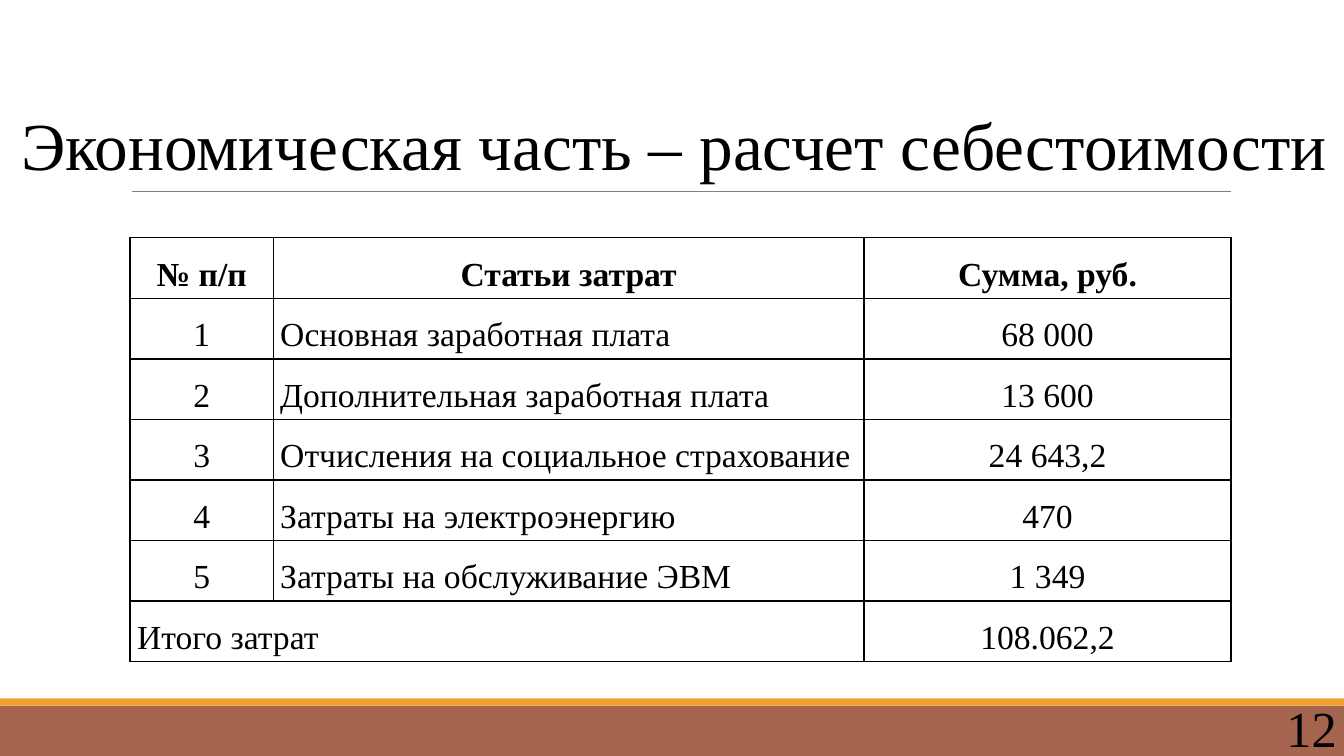
"""Builds a slide with a table of project costs."""
import pptx
import pptx.util
import pptx.dml.color
import pptx.enum.shapes
import pptx.enum.text
import pptx.oxml.ns
import lxml.etree

Inches = pptx.util.Inches
Pt = pptx.util.Pt
qn = pptx.oxml.ns.qn
CENTER = pptx.enum.text.PP_ALIGN.CENTER
LEFT = pptx.enum.text.PP_ALIGN.LEFT


def color(code):
    return pptx.dml.color.RGBColor.from_string(code)


def write(para, text, size, align=LEFT, bold=False):
    para.text = text
    para.alignment = align
    para.font.name = "Times New Roman"
    para.font.size = Pt(size)
    para.font.bold = bold
    para.font.color.rgb = color("000000")


deck = pptx.Presentation()
deck.slide_width = Inches(13.33)
deck.slide_height = Inches(7.5)
slide = deck.slides.add_slide(deck.slide_layouts[6])
shapes = slide.shapes

for top, height, fill in [(7, 0.5, "A5644E"), (6.93, 0.07, "F0A22E")]:
    band = shapes.add_shape(pptx.enum.shapes.MSO_SHAPE.RECTANGLE,
                            0, Inches(top), Inches(13.33), Inches(height))
    band.shadow.inherit = False
    band.fill.solid()
    band.fill.fore_color.rgb = color(fill)
    band.line.fill.background()

rule = shapes.add_connector(pptx.enum.shapes.MSO_CONNECTOR.STRAIGHT,
                            Inches(1.31), Inches(1.9), Inches(12.21), Inches(1.9))
rule.line.color.rgb = color("808080")
rule.line.width = Pt(0.5)
lxml.etree.SubElement(rule._element.spPr, qn("a:effectLst"))

title = shapes.add_textbox(Inches(-0.45), Inches(0.58), Inches(13.79), Inches(1.17))
title.text_frame.word_wrap = True
para = title.text_frame.paragraphs[0]
write(para, "Экономическая часть – расчет себестоимости", 48, CENTER)
para.line_spacing = 1.5
para.space_before = Pt(7)
para._p.get_or_add_pPr().set("indent", str(Inches(0.49)))

rows = [
    ("№ п/п", "Статьи затрат", "Сумма, руб."),
    ("1", "Основная заработная плата", "68 000"),
    ("2", "Дополнительная заработная плата", "13 600"),
    ("3", "Отчисления на социальное страхование", "24 643,2"),
    ("4", "Затраты на электроэнергию", "470"),
    ("5", "Затраты на обслуживание ЭВМ", "1 349"),
    ("Итого затрат", "", "108.062,2"),
]
last = len(rows) - 1
table = shapes.add_table(len(rows), 3, Inches(1.29), Inches(2.36),
                         Inches(10.92), Inches(4.2)).table
table.first_row = False
table.horz_banding = False
for col, width in zip(table.columns, [1.42, 5.86, 3.64]):
    col.width = Inches(width)

for r, row in enumerate(rows):
    table.rows[r].height = Inches(0.6)
    for c, text in enumerate(row):
        cell = table.cell(r, c)
        cell.margin_left = cell.margin_right = Inches(0.07)
        cell.margin_top = cell.margin_bottom = 0
        left = (r > 0 and c == 1) or (r == last and c == 0)
        para = cell.text_frame.paragraphs[0]
        write(para, text, 24, LEFT if left else CENTER, r == 0)
        para.line_spacing = 1.5
        props = cell._tc.get_or_add_tcPr()
        for side in ["a:lnL", "a:lnR", "a:lnT", "a:lnB"]:
            edge = lxml.etree.SubElement(props, qn(side), w=str(Pt(1)))
            paint = lxml.etree.SubElement(edge, qn("a:solidFill"))
            lxml.etree.SubElement(paint, qn("a:srgbClr"), val="000000")
        cell.fill.background()
table.cell(last, 0).merge(table.cell(last, 1))

number = shapes.add_textbox(Inches(12.66), Inches(6.87), Inches(0.73), Inches(0.71))
number.text_frame.word_wrap = True
para = number.text_frame.paragraphs[0]
write(para, "12", 36)
para.space_before = Pt(4)

deck.save("out.pptx")
